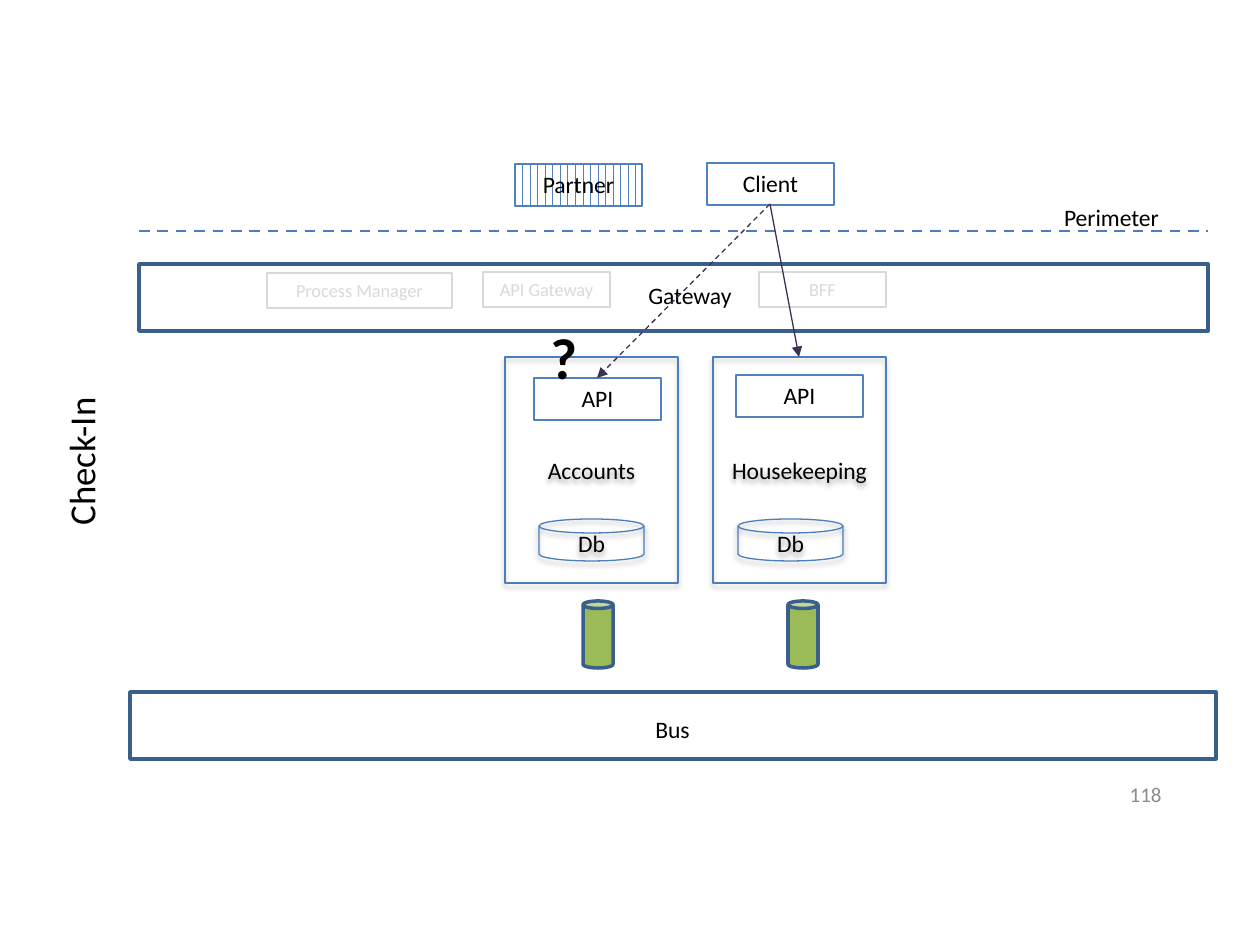
from lxml.etree import SubElement
from pptx import Presentation
from pptx.dml.color import RGBColor
from pptx.enum.dml import MSO_LINE as Dash, MSO_PATTERN as Pattern
from pptx.enum.shapes import MSO_CONNECTOR as Link, MSO_SHAPE as Shape
from pptx.enum.text import MSO_ANCHOR as Anchor, MSO_AUTO_SIZE as Fit, PP_ALIGN as Align
from pptx.oxml.ns import qn
from pptx.util import Inches, Pt

BLACK = RGBColor(0x00, 0x00, 0x00)
WHITE = RGBColor(0xFF, 0xFF, 0xFF)
NAVY = RGBColor(0x3A, 0x5F, 0x8C)
STEEL = RGBColor(0x4B, 0x7E, 0xBC)
BLUE = RGBColor(0x4F, 0x81, 0xBD)
GREEN = RGBColor(0x9B, 0xBB, 0x59)
PURPLE = RGBColor(0x40, 0x31, 0x52)
PALE = RGBColor(0xD9, 0xD9, 0xD9)
GRAY = RGBColor(0x8C, 0x8C, 0x8C)


class Diagram:
    FONT = "Calibri"
    BODY = 13.5
    PX_PER_INCH = 126

    def __init__(self, page):
        self.page = page

    def emu(self, *lengths):
        return [round(Inches(1) * px / self.PX_PER_INCH) for px in lengths]

    def set_text(self, box, text, size=BODY, color=BLACK, align=Align.CENTER,
                 bold=False, wrap=True, grow=True):
        frame = box.text_frame
        frame.text = text
        frame.word_wrap = wrap
        frame.auto_size = Fit.SHAPE_TO_FIT_TEXT if grow else Fit.NONE
        frame.vertical_anchor = Anchor.TOP if grow else Anchor.MIDDLE
        para = frame.paragraphs[0]
        para.alignment = align
        font = para.runs[0].font
        font.name, font.size, font.bold = self.FONT, Pt(size), bold
        font.color.rgb = color

    def label(self, text, left, top, width, height, turn=0, **style):
        box = self.page.shapes.add_textbox(*self.emu(left, top, width, height))
        box.rotation = turn
        self.set_text(box, text, **style)

    def outline(self, kind, left, top, width, height, color, weight=0.75, fill=None):
        box = self.page.shapes.add_shape(kind, *self.emu(left, top, width, height))
        box.shadow.inherit = False
        if fill is None:
            box.fill.background()
        else:
            box.fill.solid()
            box.fill.fore_color.rgb = fill
        box.line.color.rgb = color
        box.line.width = Pt(weight)
        return box

    def block(self, text, left, top):
        box = self.outline(Shape.RECTANGLE, left, top, 127, 42, BLUE)
        self.set_text(box, text)
        return box

    def faded(self, text, left, top, width=127):
        box = self.outline(Shape.RECTANGLE, left, top, width, 35, PALE)
        self.set_text(box, text, size=10.5, color=PALE)

    def shadowed(self, kind, text, left, top, width, height):
        box = self.outline(kind, left, top, width, height, STEEL)
        self.set_text(box, text, grow=False)
        effects = box._element.spPr.find(qn("a:effectLst"))
        shadow = SubElement(effects, qn("a:outerShdw"), blurRad=str(Pt(3.1)),
                            dist=str(Pt(1.8)), dir="5400000", rotWithShape="0")
        tint = SubElement(shadow, qn("a:srgbClr"), val=str(BLACK))
        SubElement(tint, qn("a:alpha"), val="35000")

    def service(self, name, left, api, disk, queue):
        self.shadowed(Shape.RECTANGLE, name, left, 357, 173, 226)
        self.block("API", *api)
        self.shadowed(Shape.FLOWCHART_MAGNETIC_DISK, "Db", disk, 519, 105, 42)
        self.outline(Shape.CAN, queue, 601, 30, 67, NAVY, 2, GREEN)

    def line(self, start, end, color, weight=0.75, dashed=False, arrow=False):
        link = self.page.shapes.add_connector(Link.STRAIGHT, *self.emu(*start, *end))
        link.line.color.rgb = color
        link.line.width = Pt(weight)
        if dashed:
            link.line.dash_style = Dash.DASH
        if arrow:
            stroke = link._element.spPr.find(qn("a:ln"))
            SubElement(stroke, qn("a:tailEnd"), type="triangle")
        SubElement(link._element.spPr, qn("a:effectLst"))


def main():
    deck = Presentation()
    deck.slide_width, deck.slide_height = Inches(10), Inches(7.5)
    page = deck.slides.add_slide(deck.slide_layouts[6])
    diagram = Diagram(page)

    # Bus and gateway bands
    diagram.outline(Shape.RECTANGLE, 130, 692, 1086, 67, NAVY, 2)
    diagram.label("Bus", 643, 709, 60, 42, align=Align.LEFT, wrap=False)
    diagram.outline(Shape.RECTANGLE, 139, 264, 1069, 67, NAVY, 2)
    diagram.label("Gateway", 636, 275, 110, 42, align=Align.LEFT, wrap=False)

    # Services with their API, database and queue
    diagram.service("Accounts", 505, (534, 378), 539, 583)
    diagram.service("Housekeeping", 713, (736, 375), 738, 788)

    # Callers outside the perimeter
    diagram.block("Client", 707, 163)
    partner = diagram.block("Partner", 515, 164)
    partner.fill.patterned()
    partner.fill.pattern = Pattern.DASHED_VERTICAL
    partner.fill.fore_color.rgb = BLUE
    partner.fill.back_color.rgb = WHITE
    diagram.line((139, 231), (1208, 231), STEEL, 1.5, dashed=True)
    diagram.label("Perimeter", 1038, 197, 147, 42)

    # Gateway variants
    diagram.faded("API Gateway", 483, 272)
    diagram.faded("BFF", 759, 272)
    diagram.faded("Process Manager", 267, 273, 185)

    # Calls from the client
    diagram.line((770, 204), (799, 357), PURPLE, arrow=True)
    diagram.line((770, 204), (597, 378), PURPLE, dashed=True, arrow=True)
    diagram.label("?", 538, 316, 38, 83, size=33, bold=True, align=Align.LEFT)

    # Side title and page number
    diagram.label("Check-In", -112, 433, 386, 57, turn=270, size=21)
    diagram.label("118", 890, 775, 284, 38, size=12, color=GRAY,
                  align=Align.RIGHT, grow=False)

    deck.save("out.pptx")


if __name__ == "__main__":
    main()
